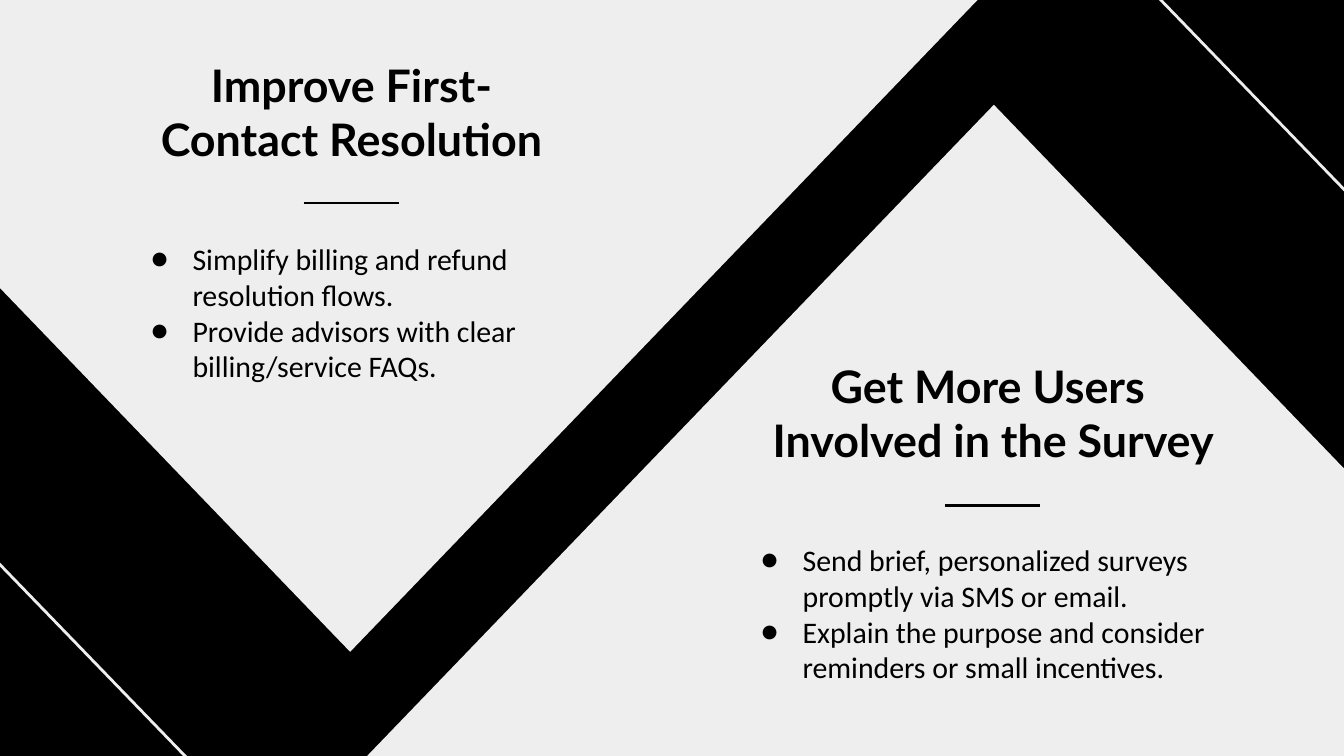
from dataclasses import dataclass

from lxml import etree
from pptx import Presentation
from pptx.dml.color import RGBColor
from pptx.enum.shapes import MSO_CONNECTOR, MSO_SHAPE
from pptx.enum.text import MSO_ANCHOR, MSO_AUTO_SIZE, PP_ALIGN
from pptx.oxml.ns import qn
from pptx.util import Pt

TRIANGLE = MSO_SHAPE.ISOSCELES_TRIANGLE
STRAIGHT = MSO_CONNECTOR.STRAIGHT
TOP = MSO_ANCHOR.TOP
NO_FIT = MSO_AUTO_SIZE.NONE
CENTER, LEFT = PP_ALIGN.CENTER, PP_ALIGN.LEFT
COMPARISON_LAYOUT = 4


@dataclass(frozen=True)
class Theme:
    dark: RGBColor = RGBColor(0x00, 0x00, 0x00)
    light: RGBColor = RGBColor(0xEE, 0xEE, 0xEE)
    heading_font: str = "Lato"
    body_font: str = "Calibri"
    heading_size: float = 24
    body_size: float = 16
    line_width: float = 1.5
    inset: float = 7.2
    indent: float = 22.5


@dataclass(frozen=True)
class Box:
    left: float
    top: float
    width: float
    height: float


@dataclass(frozen=True)
class Panel:
    triangle: Box
    rotation: float
    stripe_start: tuple[float, float]
    heading_idx: int
    heading: str
    heading_box: Box
    rule_start: tuple[float, float]
    list_idx: int
    items: tuple[str, ...]
    list_box: Box


THEME = Theme()
TRIANGLE_SIZE = (683.28, 354.96)
STRIPE_SPAN = (242.3, 250.56)
RULE_SPAN = (51.12, 0)

PANELS = (
    Panel(
        Box(-154.08, -5.76, *TRIANGLE_SIZE), 180, (-108, 190.8),
        0, "Improve First-Contact Resolution", Box(66.24, 23.76, 244.08, 41.76),
        (162.72, 108.72),
        2, ("Simplify billing and refund resolution flows.",
            "Provide advisors with clear billing/service FAQs."),
        Box(73.44, 121.68, 228.96, 95.76),
    ),
    Panel(
        Box(190.8, 56.16, *TRIANGLE_SIZE), 0, (617.04, -5.04),
        3, "Get More Users \vInvolved in the Survey", Box(394.56, 185.04, 275.04, 72.72),
        (506.16, 270.72),
        4, ("Send brief, personalized surveys promptly via SMS or email.",
            "Explain the purpose and consider reminders or small incentives."),
        Box(400.32, 282.96, 275.04, 95.76),
    ),
)


def add_triangle(s, box: Box, rotation: float) -> None:
    sp = s.shapes.add_shape(TRIANGLE, Pt(box.left), Pt(box.top), Pt(box.width), Pt(box.height))
    sp.rotation = rotation
    sp.shadow.inherit = False
    sp.fill.solid()
    sp.fill.fore_color.rgb = THEME.light
    sp.line.fill.background()


def add_line(s, start: tuple[float, float], span: tuple[float, float], color: RGBColor) -> None:
    x, y = start
    line = s.shapes.add_connector(STRAIGHT, Pt(x), Pt(y), Pt(x + span[0]), Pt(y + span[1]))
    line.line.color.rgb = color
    line.line.width = Pt(THEME.line_width)
    etree.SubElement(line._element.spPr, qn("a:effectLst"))


def add_bullet(p) -> None:
    pPr = p._p.get_or_add_pPr()
    pPr.set("marL", str(Pt(THEME.indent)))
    pPr.set("indent", str(-Pt(THEME.indent)))
    color = etree.SubElement(pPr, qn("a:buClr"))
    etree.SubElement(color, qn("a:srgbClr"), val=str(THEME.dark))
    etree.SubElement(pPr, qn("a:buFont"), typeface=THEME.body_font)
    etree.SubElement(pPr, qn("a:buChar"), char="●")


def fill_placeholder(s, idx: int, box: Box, text: str, font: str, size: float,
                     bold: bool, align, bullets: bool) -> None:
    sp = s.placeholders[idx]
    sp.left, sp.top = Pt(box.left), Pt(box.top)
    sp.width, sp.height = Pt(box.width), Pt(box.height)
    s.shapes._spTree.append(sp._element)  # keep text above the triangles
    tf = sp.text_frame
    tf.text = text
    tf.word_wrap = True
    tf.auto_size = NO_FIT
    tf.vertical_anchor = TOP
    tf.margin_left = tf.margin_right = tf.margin_top = tf.margin_bottom = Pt(THEME.inset)
    for p in tf.paragraphs:
        if bullets:
            add_bullet(p)
        p.alignment = align
        p.line_spacing = 1.0
        p.space_before = p.space_after = Pt(0)
        for r in p.runs:
            r.font.name = font
            r.font.size = Pt(size)
            r.font.bold = bold
            r.font.color.rgb = THEME.dark


def add_panel_text(s, panel: Panel) -> None:
    fill_placeholder(s, panel.heading_idx, panel.heading_box, panel.heading,
                     THEME.heading_font, THEME.heading_size, True, CENTER, False)
    add_line(s, panel.rule_start, RULE_SPAN, THEME.dark)
    fill_placeholder(s, panel.list_idx, panel.list_box, "\n".join(panel.items),
                     THEME.body_font, THEME.body_size, False, LEFT, True)


def main() -> None:
    prs = Presentation()
    prs.slide_width, prs.slide_height = Pt(720), Pt(405)
    s = prs.slides.add_slide(prs.slide_layouts[COMPARISON_LAYOUT])
    s.background.fill.solid()
    s.background.fill.fore_color.rgb = THEME.dark

    # Backdrop: light triangles and corner stripes
    for panel in reversed(PANELS):
        add_triangle(s, panel.triangle, panel.rotation)
    for panel in PANELS:
        add_line(s, panel.stripe_start, STRIPE_SPAN, THEME.light)

    # Headings, rules and bullet lists
    for panel in PANELS:
        add_panel_text(s, panel)

    # Unused placeholders
    for sp in list(s.placeholders):
        if not sp.text_frame.text:
            sp._element.getparent().remove(sp._element)

    prs.save("out.pptx")


if __name__ == "__main__":
    main()
